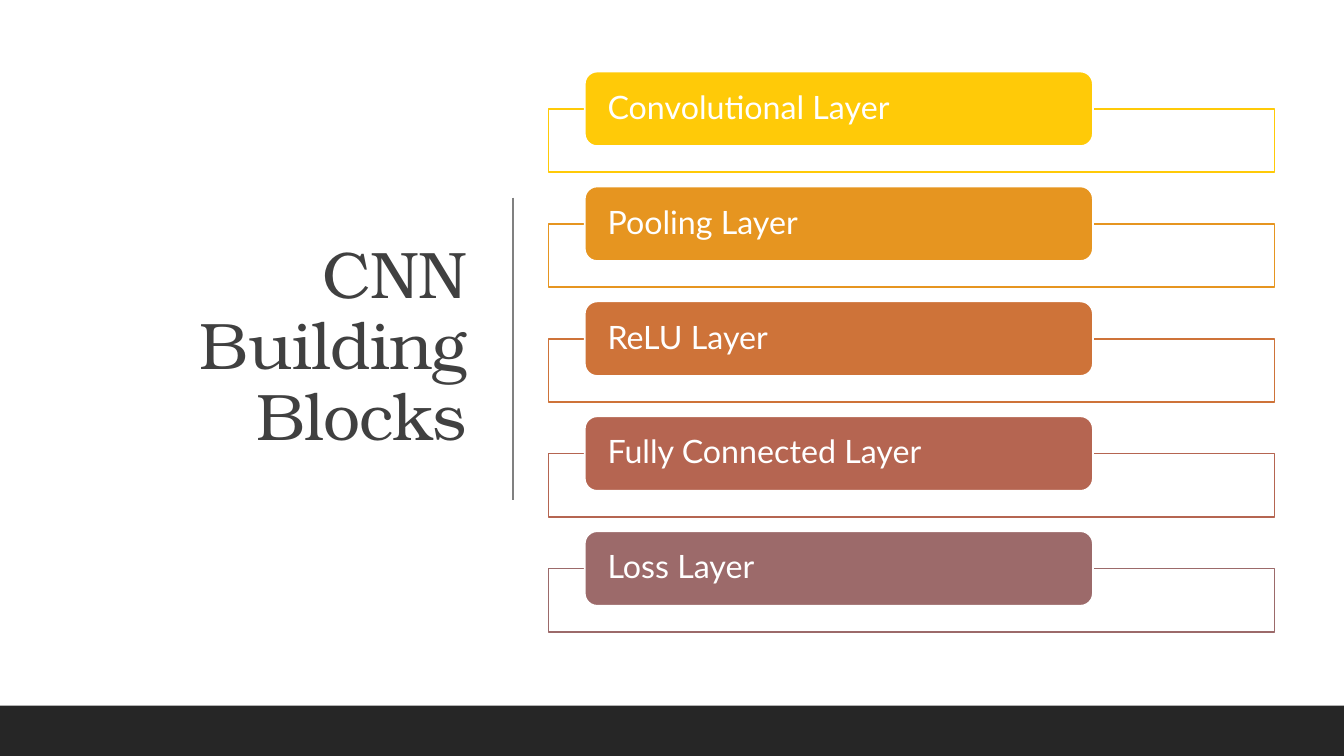
"""Build the slide that lists the building blocks of a CNN."""
from lxml import etree
from pptx import Presentation
from pptx.dml.color import RGBColor
from pptx.enum.shapes import MSO_CONNECTOR, MSO_SHAPE
from pptx.enum.text import MSO_ANCHOR, PP_ALIGN
from pptx.oxml.ns import qn
from pptx.util import Inches, Pt

RECT, ROUNDED = MSO_SHAPE.RECTANGLE, MSO_SHAPE.ROUNDED_RECTANGLE
STRAIGHT = MSO_CONNECTOR.STRAIGHT
MIDDLE = MSO_ANCHOR.MIDDLE
LEFT, RIGHT = PP_ALIGN.LEFT, PP_ALIGN.RIGHT

TITLE = "CNN Building Blocks"
LAYERS = [
    ("Convolutional Layer", "FFCA08"),
    ("Pooling Layer", "E69520"),
    ("ReLU Layer", "CE7339"),
    ("Fully Connected Layer", "B56551"),
    ("Loss Layer", "9C6A6A"),
]
WHITE, DARK, GREY, TITLE_COLOR = "FFFFFF", "262626", "808080", "404040"
TITLE_FONT = {"name": "TeX Gyre Bonum", "size": Pt(47)}
LAYER_FONT = {"name": "Lato", "size": Pt(23)}

SLIDE_W, SLIDE_H = 13.33, 7.5
FOOTER_H = 0.5
FRAME_LEFT, FRAME_W, FRAME_H = 5.44, 7.2, 0.63
LABEL_LEFT, LABEL_W, LABEL_H = 5.8, 5.04, 0.74
FIRST_LABEL_TOP, PITCH = 0.71, 1.14


def paint(color_format, hex_color):
    color_format.rgb = RGBColor.from_string(hex_color)


def add_block(slide, preset, box, fill, line=None):
    block = slide.shapes.add_shape(preset, *map(Inches, box))
    block.shadow.inherit = False
    block.fill.solid()
    paint(block.fill.fore_color, fill)
    if line:
        paint(block.line.color, line)
        block.line.width = Pt(1.25)
    else:
        block.line.fill.background()
    return block


def write(holder, text, font, color, align, insets):
    frame = holder.text_frame
    frame_format = {"word_wrap": True, "vertical_anchor": MIDDLE}
    frame_format.update(
        (f"margin_{side}", Inches(inset))
        for side, inset in zip(("left", "top", "right", "bottom"), insets)
    )
    for name, value in frame_format.items():
        setattr(frame, name, value)
    paragraph = frame.paragraphs[0]
    paragraph.alignment = align
    paragraph.line_spacing = 0.9
    run = paragraph.add_run()
    run.text = text
    for name, value in font.items():
        setattr(run.font, name, value)
    paint(run.font.color, color)
    return run


def add_title(slide):
    title = slide.shapes.add_textbox(*map(Inches, (0.7, 0.69, 4.03, 5.53)))
    run = write(title, TITLE, TITLE_FONT, TITLE_COLOR, RIGHT, (0.1, 0.05, 0.1, 0.05))
    run.font._element.set("spc", "-50")


def add_divider(slide):
    divider = slide.shapes.add_connector(STRAIGHT, *map(Inches, (5.09, 1.96, 5.09, 4.96)))
    paint(divider.line.color, GREY)
    divider.line.width = Pt(1)
    etree.SubElement(divider._element.spPr, qn("a:effectLst"))


def add_layer(slide, index, text, color):
    label_top = FIRST_LABEL_TOP + index * PITCH
    frame_box = (FRAME_LEFT, label_top + LABEL_H / 2, FRAME_W, FRAME_H)
    frame = add_block(slide, RECT, frame_box, WHITE, color)
    fill_color = frame._element.spPr.find(qn("a:solidFill"))[0]
    etree.SubElement(fill_color, qn("a:alpha"), val="90000")
    label_box = (LABEL_LEFT, label_top, LABEL_W, LABEL_H)
    label = add_block(slide, ROUNDED, label_box, color, WHITE)
    write(label, text, LAYER_FONT, WHITE, LEFT, (0.19, 0, 0.19, 0))


def main():
    deck = Presentation()
    deck.slide_width, deck.slide_height = Inches(SLIDE_W), Inches(SLIDE_H)
    slide = deck.slides.add_slide(deck.slide_layouts[6])
    add_block(slide, RECT, (0, 0, SLIDE_W, SLIDE_H), WHITE)
    add_title(slide)
    add_divider(slide)
    add_block(slide, RECT, (0, SLIDE_H - FOOTER_H, SLIDE_W, FOOTER_H), DARK)
    for index, (text, color) in enumerate(LAYERS):
        add_layer(slide, index, text, color)
    deck.save("out.pptx")


if __name__ == "__main__":
    main()
